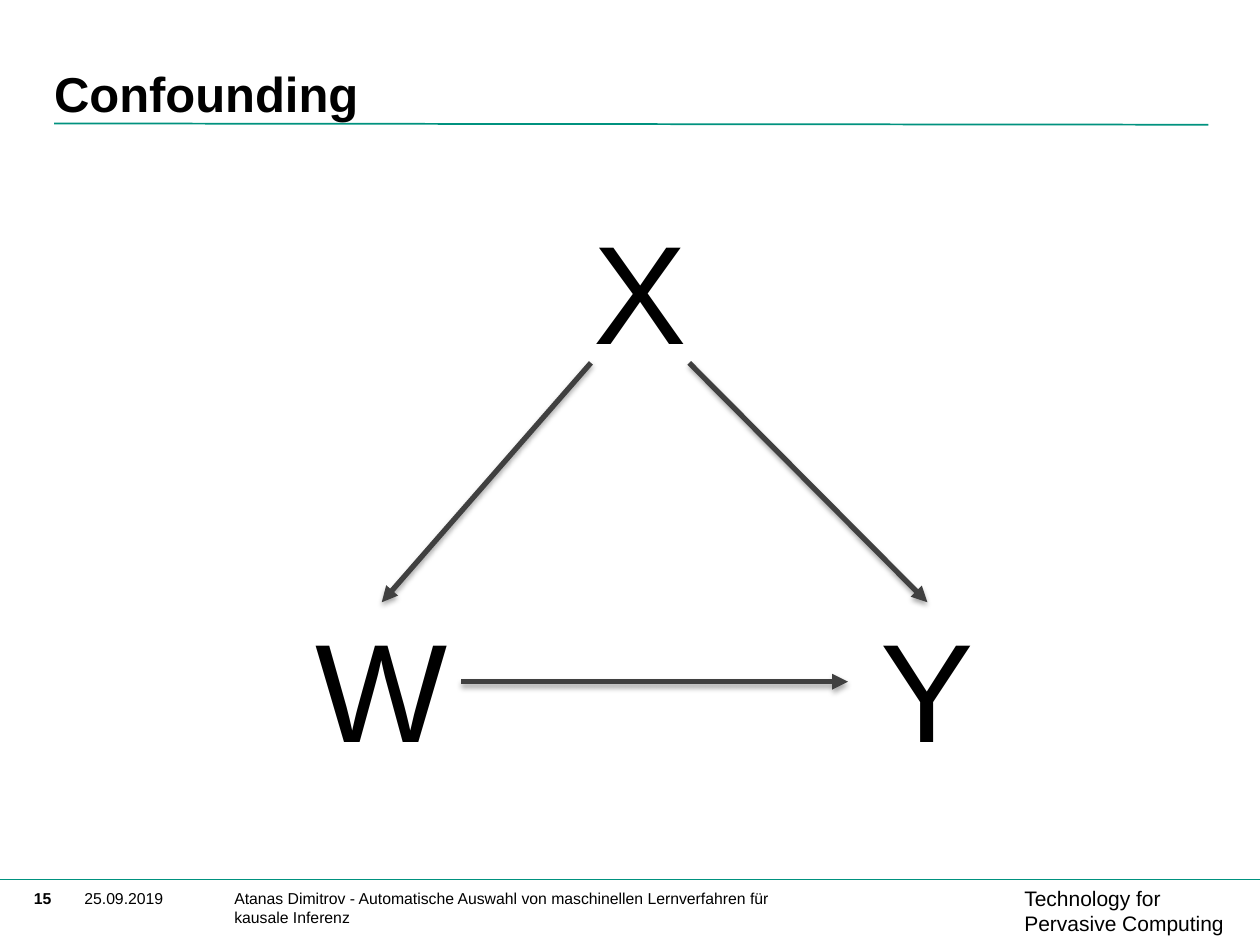
from lxml import etree
from pptx import Presentation
from pptx import util as u
from pptx.dml.color import RGBColor
from pptx.enum import shapes, text
from pptx.oxml.ns import qn

HUES = {"ink": "000000", "rule": "00927F", "arrow": "404040", "back": "FFFFFF"}
FONT = "Arial"
SIDE = 1.26  # edge of a node box
TOP, LEFT, RIGHT = 0, 1, 3  # connection sites


def hue(name):
    return RGBColor.from_string(HUES[name])


def label(slide, box, words, size, bold=False, **form):
    """Text box without insets; form holds paragraph settings."""
    shape = slide.shapes.add_textbox(*map(u.Inches, box))
    frame = shape.text_frame
    look = {"word_wrap": True, "margin_left": 0, "margin_right": 0,
            "margin_top": 0, "margin_bottom": 0,
            "vertical_anchor": form.pop("anchor", text.MSO_ANCHOR.TOP)}
    for key, val in look.items():
        setattr(frame, key, val)
    para = frame.paragraphs[0]
    for key, val in form.items():
        setattr(para, key, val)
    run = para.add_run()
    run.text = words
    for key, val in {"name": FONT, "size": u.Pt(size), "bold": bold}.items():
        setattr(run.font, key, val)
    run.font.color.rgb = hue("ink")
    return shape


def rule(slide, start, end, color="rule", width=1):
    """Straight line with an empty effect list."""
    line = slide.shapes.add_connector(
        shapes.MSO_CONNECTOR.STRAIGHT, *map(u.Inches, (*start, *end)))
    line.line.color.rgb = hue(color)
    line.line.width = u.Pt(width)
    etree.SubElement(line._element.spPr, qn("a:effectLst"))
    return line


def arrow(slide, start, end):
    """Thick line with an arrowhead and a soft shadow."""
    line = rule(slide, start, end, "arrow", 3)
    etree.SubElement(line.line._get_or_add_ln(), qn("a:tailEnd"), type="triangle")
    fx = line._element.spPr.find(qn("a:effectLst"))
    shade = etree.SubElement(
        fx, qn("a:outerShdw"), blurRad=str(u.Pt(3.1)), dist=str(u.Pt(1.8)),
        dir="5400000", rotWithShape="0")
    tint = etree.SubElement(shade, qn("a:srgbClr"), val=HUES["ink"])
    etree.SubElement(tint, qn("a:alpha"), val="35000")
    return line


def footer(slide, x, y, w, h):
    # White band and rule
    band = slide.shapes.add_shape(
        shapes.MSO_SHAPE.RECTANGLE, *map(u.Inches, (x, y, w, h)))
    band.shadow.inherit = False
    band.fill.solid()
    band.fill.fore_color.rgb = hue("back")
    band.line.color.rgb = hue("back")
    band.line.width = u.Pt(2)
    rule(slide, (x - 0.01, y - 0.01), (x + w, y - 0.01))
    # Group name, page number, date, talk
    label(slide, (x + 8.13, y + 0.04, 1.68, 0.42),
          "Technology for Pervasive Computing", 12)
    row = y + 0.06
    label(slide, (x + 0.27, row, 0.36, 0.24), "15", 9, bold=True)
    label(slide, (x + 0.67, row, 0.94, 0.39), "25.09.2019", 9)
    label(slide, (x + 1.86, row, 4.65, 0.39),
          "Atanas Dimitrov - Automatische Auswahl von maschinellen "
          "Lernverfahren für kausale Inferenz", 9)


def header(slide, x, y, w, h):
    rule(slide, (x, y + h + 0.01), (x + w, y + h + 0.02))
    label(slide, (x, y, 7.56, h), "Confounding", 28, bold=True,
          anchor=text.MSO_ANCHOR.BOTTOM)


def graph(slide, x, y, w, h):
    """Triangle of variables: X on top, W and Y at the base."""
    base = y + h - SIDE
    spots = {"X": (x + 2.05, y), "W": (x, base), "Y": (x + w - SIDE, base)}
    nodes = {name: label(slide, (*spot, SIDE, SIDE), name, 80,
                         alignment=text.PP_ALIGN.CENTER, space_before=u.Pt(16))
             for name, spot in spots.items()}
    # X points at both base nodes
    for name, shift in (("W", 2.29), ("Y", 3.07)):
        left = spots[name][0]
        line = arrow(slide, (x + shift, y + SIDE), (left + SIDE / 2, base))
        line.end_connect(nodes[name], TOP)
    # W points at Y
    mid = base + SIDE / 2
    line = arrow(slide, (x + SIDE, mid), (spots["Y"][0], mid))
    line.begin_connect(nodes["W"], RIGHT)
    line.end_connect(nodes["Y"], LEFT)


def main():
    deck = Presentation()
    deck.slide_width, deck.slide_height = u.Inches(10), u.Inches(7.5)
    slide = deck.slides.add_slide(deck.slide_layouts[6])
    footer(slide, 0, 6.99, 10, 0.51)
    header(slide, 0.43, 0.36, 9.16, 0.61)
    graph(slide, 2.4, 1.62, 5.59, 4.42)
    deck.save("out.pptx")


if __name__ == "__main__":
    main()
